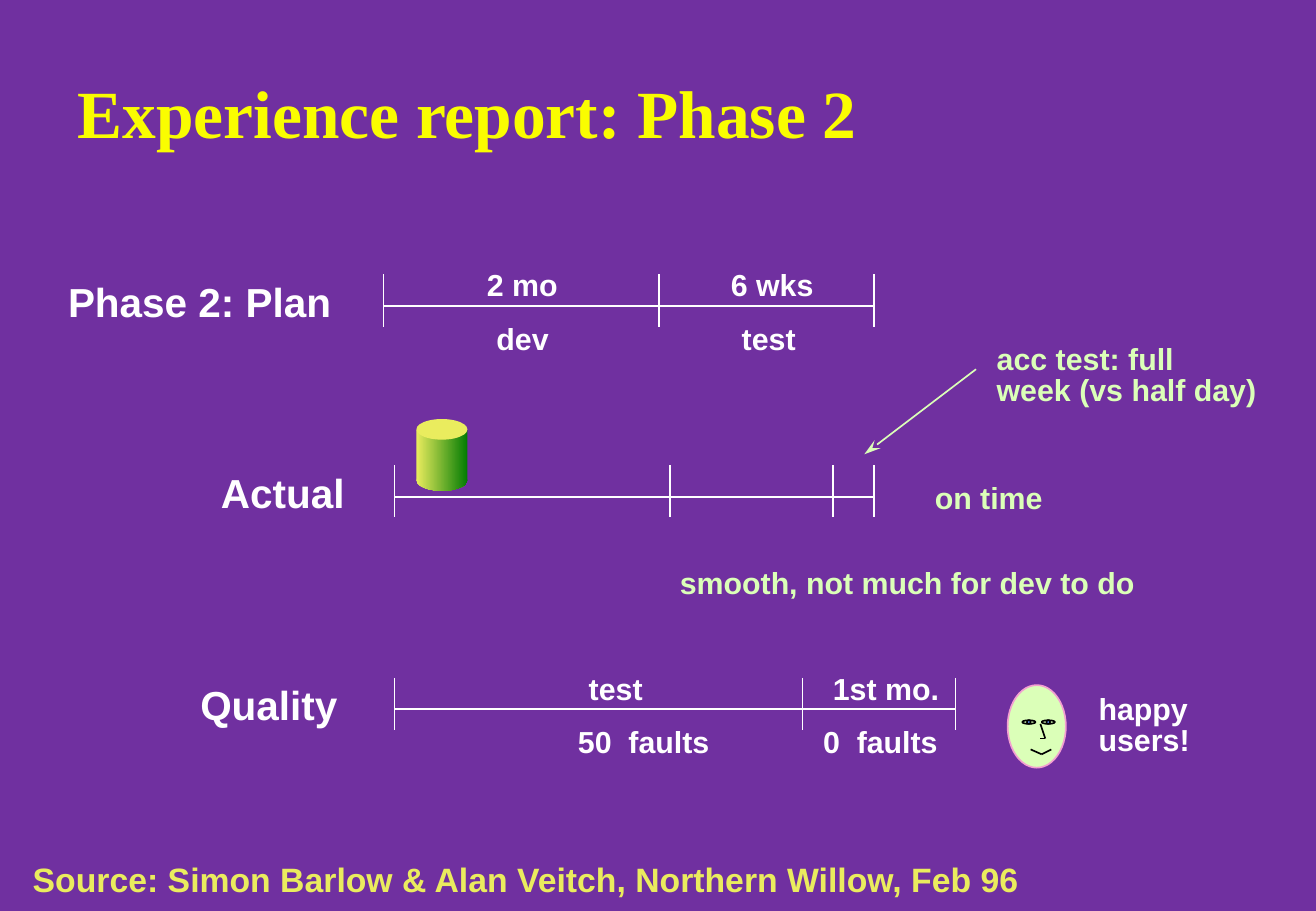
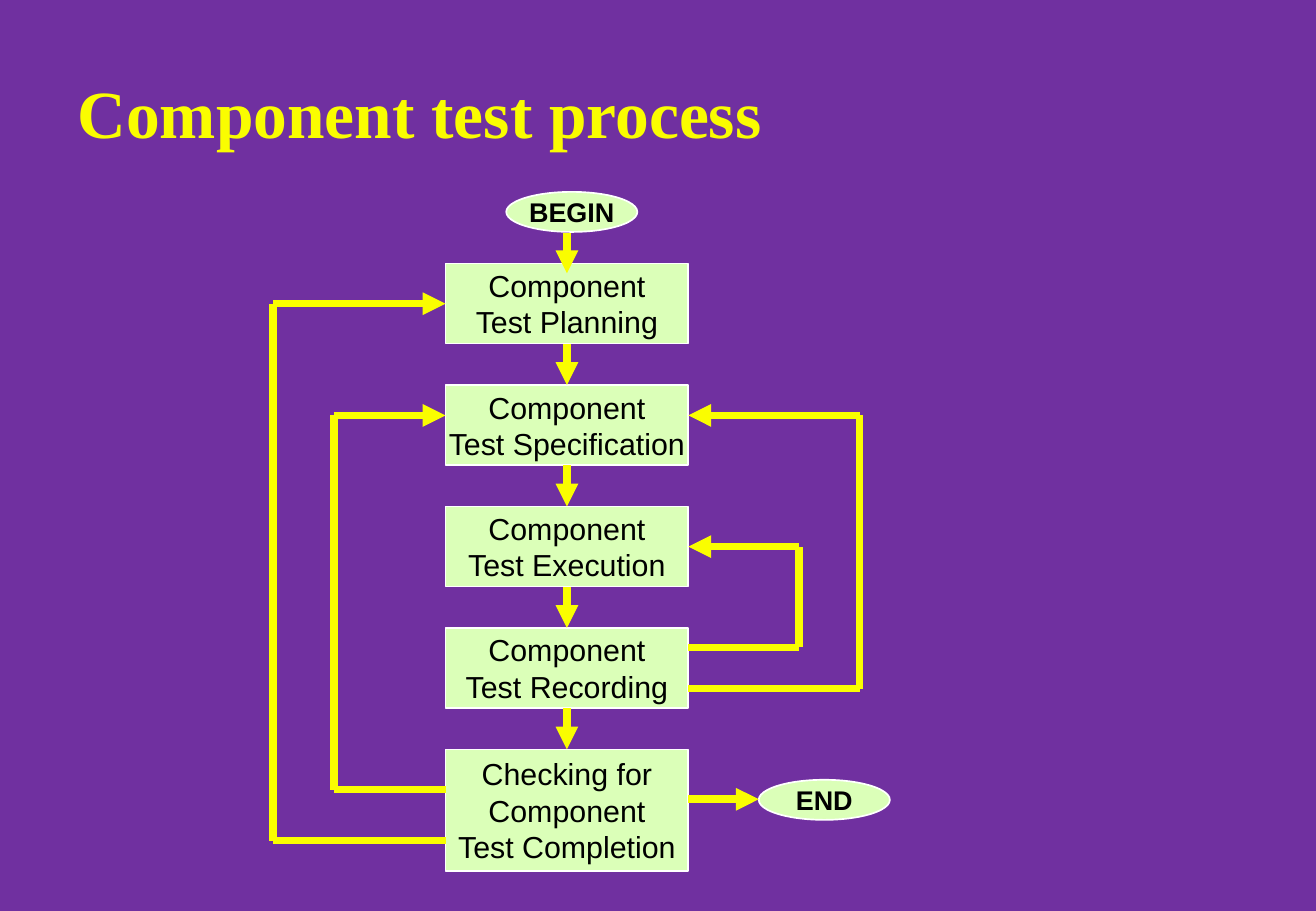
"""Build two slides: a phase 2 experience report and a component test process."""
from dataclasses import dataclass

from lxml import etree
from pptx import Presentation
from pptx.dml.color import RGBColor
from pptx.enum.shapes import MSO_CONNECTOR, MSO_SHAPE
from pptx.enum.text import MSO_ANCHOR, MSO_AUTO_SIZE, PP_ALIGN
from pptx.oxml.ns import qn
from pptx.util import Inches, Pt

STRAIGHT = MSO_CONNECTOR.STRAIGHT
OVAL, RECTANGLE = MSO_SHAPE.OVAL, MSO_SHAPE.RECTANGLE
MIDDLE = MSO_ANCHOR.MIDDLE
NO_AUTOFIT, FIT_SHAPE = MSO_AUTO_SIZE.NONE, MSO_AUTO_SIZE.SHAPE_TO_FIT_TEXT
LEFT, CENTER = PP_ALIGN.LEFT, PP_ALIGN.CENTER
SIDE_TOP, SIDE_LEFT, SIDE_BOTTOM, SIDE_RIGHT = range(4)


@dataclass(frozen=True)
class Theme:
    background: RGBColor = RGBColor.from_string("7030A0")
    yellow: RGBColor = RGBColor.from_string("FAFD00")
    gold: RGBColor = RGBColor.from_string("EAEC5E")
    green: RGBColor = RGBColor.from_string("037C03")
    mint: RGBColor = RGBColor.from_string("DBFFB8")
    pink: RGBColor = RGBColor.from_string("F39FD1")
    blue: RGBColor = RGBColor.from_string("618FFD")
    white: RGBColor = RGBColor.from_string("FFFFFF")
    black: RGBColor = RGBColor.from_string("000000")
    title_font: str = "Times New Roman"
    text_font: str = "Arial"
    title_size: int = 40
    label_size: int = 24
    source_size: int = 20
    text_size: int = 18
    terminal_size: int = 16
    thin: float = 1
    thick: float = 4.5


theme = Theme()


def add_line(slide, start, end, color, width, arrow=None, begin=None, finish=None,
             arrow_length="med"):
    points = [Inches(value) for value in (*start, *end)]
    connector = slide.shapes.add_connector(STRAIGHT, *points)
    if begin:
        connector.begin_connect(*begin)
    if finish:
        connector.end_connect(*finish)
    connector.line.color.rgb = color
    connector.line.width = Pt(width)
    if arrow:
        etree.SubElement(connector.get_or_add_ln(), qn("a:tailEnd"),
                         type=arrow, w="med", len=arrow_length)
    etree.SubElement(connector.element.spPr, qn("a:effectLst"))


def add_figure(slide, kind, place, fill, outline=None):
    shape = slide.shapes.add_shape(kind, *[Inches(value) for value in place])
    shape.shadow.inherit = False
    shape.fill.solid()
    shape.fill.fore_color.rgb = fill
    if outline is None:
        shape.line.fill.background()
    else:
        shape.line.color.rgb = outline
        shape.line.width = Pt(theme.thin)
    return shape


presentation = Presentation()
presentation.slide_width = Inches(10.84)
presentation.slide_height = Inches(7.5)
master_fill = presentation.slide_master.background.fill
master_fill.solid()
master_fill.fore_color.rgb = theme.background

layout = presentation.slide_layouts.get_by_name("Title Only")
layout_title = layout.placeholders[0]
layout_title.left, layout_title.top = Inches(0.54), Inches(0.58)
layout_title.width, layout_title.height = Inches(9.21), Inches(0.67)

slides = []
for heading in ("Experience report: Phase 2", "Component test process"):
    slide = presentation.slides.add_slide(layout)
    title_frame = slide.shapes.title.text_frame
    title_frame.text = heading
    title_frame.vertical_anchor = MIDDLE
    title_frame.auto_size = NO_AUTOFIT
    paragraph = title_frame.paragraphs[0]
    paragraph.alignment = LEFT
    paragraph.font.name = theme.title_font
    paragraph.font.size = Pt(theme.title_size)
    paragraph.font.bold = True
    paragraph.font.color.rgb = theme.yellow
    slides.append(slide)
report, process = slides

timelines = [
    (2.52, (3.16, 5.43, 7.2)),
    (4.09, (3.25, 5.52, 6.86, 7.2)),
    (5.84, (3.25, 6.61, 7.87)),
]
for axis, ticks in timelines:
    add_line(report, (ticks[0], axis), (ticks[-1], axis), theme.white, theme.thin)
    for tick in ticks:
        add_line(report, (tick, axis - 0.26), (tick, axis + 0.17), theme.white, theme.thin)

text_groups = [
    (theme.label_size, theme.white, 0.97, [
        ("Phase 2: Plan", 0.49, 2.27, 2.51),
        ("Actual", 1.75, 3.85, 1.33),
        ("Quality", 1.58, 5.59, 1.33),
    ]),
    (theme.text_size, theme.white, 0.85, [
        ("2 mo", 3.94, 2.21, 0.85),
        ("6 wks", 5.95, 2.21, 0.95),
        ("dev", 4.02, 2.65, 0.7),
        ("test", 6.04, 2.65, 0.7),
        ("test", 4.78, 5.53, 0.7),
        ("50  faults", 4.69, 5.97, 1.35),
        ("1st mo.", 6.79, 5.53, 1.15),
        ("0  faults", 6.71, 5.97, 1.2),
        ("happy\nusers!", 8.98, 5.7, 1),
    ]),
    (theme.text_size, theme.mint, 0.85, [
        ("acc test: full\nweek (vs half day)", 8.14, 2.82, 2.4),
        ("on time", 7.63, 3.96, 1.15),
        ("smooth, not much for dev to do", 5.53, 4.66, 4),
    ]),
    (theme.source_size, theme.gold, 0.85, [
        ("Source: Simon Barlow & Alan Veitch, Northern Willow, Feb 96", 0.2, 7.09, 8.5),
    ]),
]
for size, color, spacing, entries in text_groups:
    for text, left, top, width in entries:
        line_count = text.count("\n") + 1
        height = 0.06 + line_count * size * 1.15 * spacing / 72
        box = report.shapes.add_textbox(*[Inches(value) for value in (left, top, width, height)])
        frame = box.text_frame
        frame.word_wrap = True
        frame.auto_size = FIT_SHAPE
        frame.margin_left = frame.margin_right = Inches(0.07)
        frame.margin_top = frame.margin_bottom = Inches(0.03)
        frame.text = text
        for paragraph in frame.paragraphs:
            paragraph.line_spacing = spacing
            paragraph.font.name = theme.text_font
            paragraph.font.size = Pt(size)
            paragraph.font.bold = True
            paragraph.font.color.rgb = color

add_line(report, (8.04, 3.04), (7.12, 3.74), theme.mint, theme.thin, "stealth",
         arrow_length="lg")

for kind, top, height in ((OVAL, 3.87, 0.17), (RECTANGLE, 3.54, 0.42)):
    cylinder_part = add_figure(report, kind, (3.43, top, 0.42, height), theme.gold)
    cylinder_part.fill.gradient()
    cylinder_part.fill.gradient_angle = 0
    for stop, color in zip(cylinder_part.fill.gradient_stops, (theme.gold, theme.green)):
        stop.color.rgb = color
add_figure(report, OVAL, (3.43, 3.45, 0.42, 0.17), theme.gold)

add_figure(report, OVAL, (8.3, 5.64, 0.48, 0.68), theme.mint, theme.pink)
for eye_left in (8.42, 8.58):
    add_figure(report, OVAL, (eye_left, 5.93, 0.11, 0.03), theme.mint, theme.black)
    add_figure(report, OVAL, (eye_left + 0.04, 5.93, 0.03, 0.03), theme.blue, theme.black)
nose = [(8.57, 5.96), (8.61, 6.08), (8.57, 6.08)]
mouth = [(8.49, 6.17), (8.58, 6.21), (8.66, 6.17)]
for feature in (nose, mouth):
    for start, end in zip(feature, feature[1:]):
        add_line(report, start, end, theme.black, theme.thin)

box_left, box_width, box_height = 3.67, 2, 0.66
box_right, box_center = box_left + box_width, box_left + box_width / 2
first_top, pitch = 2.17, 1
step_texts = [
    "Component\nTest Planning",
    "Component\nTest Specification",
    "Component\nTest Execution",
    "Component\nTest Recording",
    "Checking for\nComponent\nTest Completion",
]
nodes = [
    (RECTANGLE, text, (box_left, first_top + index * pitch, box_width,
                       1 if index == 4 else box_height), theme.text_size, False)
    for index, text in enumerate(step_texts)
]
nodes += [
    (OVAL, "BEGIN", (4.17, 1.58, 1.08, 0.33), theme.terminal_size, True),
    (OVAL, "END", (6.25, 6.42, 1.08, 0.33), theme.terminal_size, True),
]
node_shapes = []
for kind, text, place, size, bold in nodes:
    shape = add_figure(process, kind, place, theme.mint, theme.white)
    frame = shape.text_frame
    frame.word_wrap = False
    frame.vertical_anchor = MIDDLE
    frame.text = text
    for paragraph in frame.paragraphs:
        paragraph.alignment = CENTER
        paragraph.font.name = theme.text_font
        paragraph.font.size = Pt(size)
        paragraph.font.bold = bold
        paragraph.font.color.rgb = theme.black
    node_shapes.append(shape)
steps = node_shapes[:5]
planning, specification, execution, recording, checking = steps

for index, (upper, lower) in enumerate(zip(steps, steps[1:])):
    top = first_top + index * pitch
    add_line(process, (box_center, top + box_height), (box_center, top + pitch),
             theme.yellow, theme.thick, "triangle",
             (upper, SIDE_BOTTOM), (lower, SIDE_TOP))
add_line(process, (box_center, 1.92), (box_center, 2.25), theme.yellow, theme.thick, "triangle")
add_line(process, (box_right, 6.58), (6.25, 6.58), theme.yellow, theme.thick, "triangle")

return_loops = [
    (box_left, 6.92, 2.25, 2.5, (planning, SIDE_LEFT)),
    (box_left, 6.5, 2.75, 3.42, None),
    (box_right, 5.33, 6.58, 4.5, (execution, SIDE_RIGHT)),
    (box_right, 5.67, 7.08, 3.42, None),
]
for side, start_y, turn_x, end_y, target in return_loops:
    add_line(process, (side, start_y), (turn_x, start_y), theme.yellow, theme.thick)
    add_line(process, (turn_x, start_y), (turn_x, end_y), theme.yellow, theme.thick)
    add_line(process, (turn_x, end_y), (side, end_y), theme.yellow, theme.thick,
             "triangle", finish=target)

presentation.save("out.pptx")
